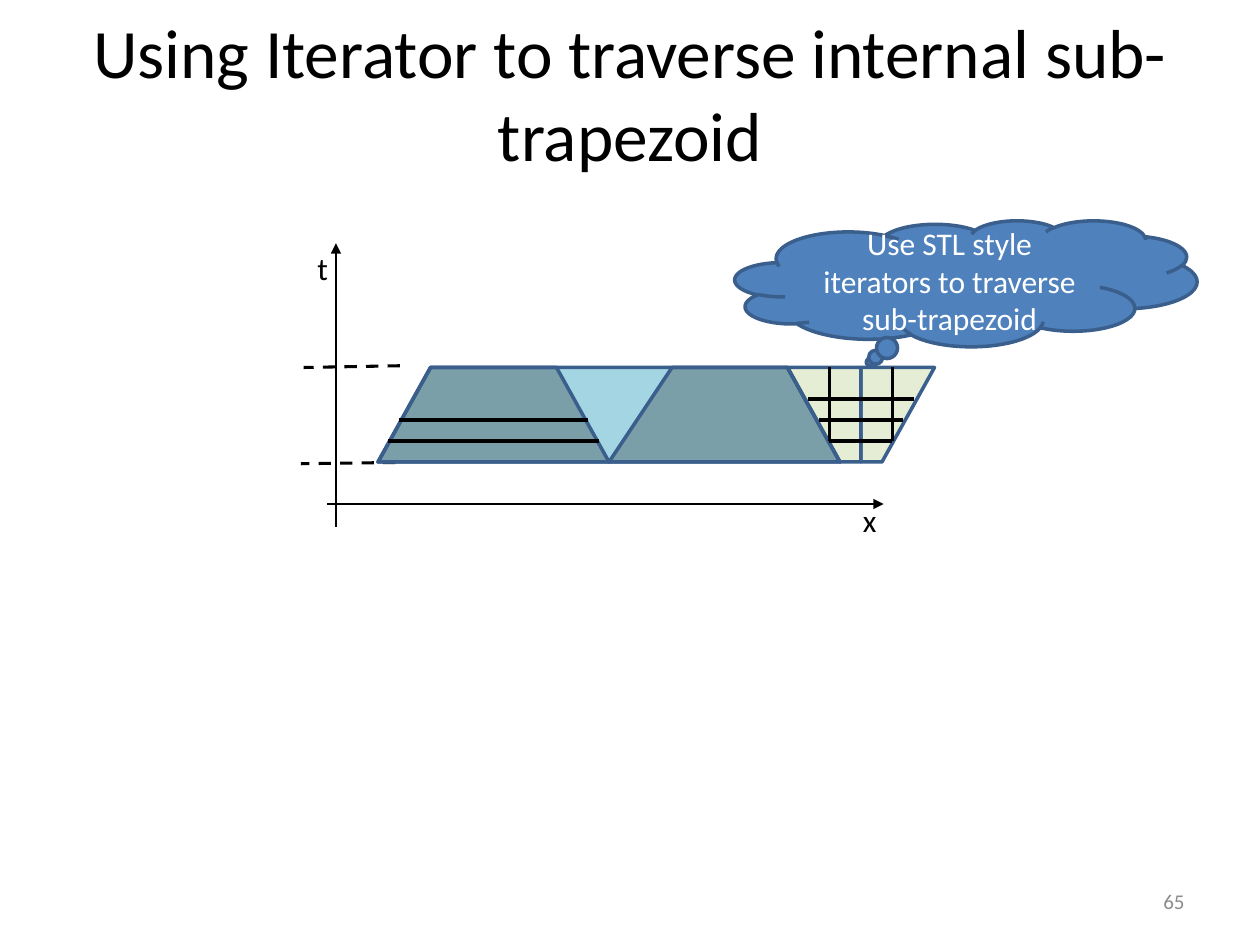
from lxml.etree import SubElement
from pptx import Presentation
from pptx.dml.color import RGBColor
from pptx.enum.dml import MSO_LINE
from pptx.enum.shapes import MSO_CONNECTOR, MSO_SHAPE
from pptx.enum.text import MSO_ANCHOR as ANCHOR, MSO_AUTO_SIZE as FIT, PP_ALIGN as ALIGN
from pptx.oxml.ns import qn
from pptx.util import Pt

BLACK = RGBColor(0x00, 0x00, 0x00)
WHITE = RGBColor(0xFF, 0xFF, 0xFF)
GRAY = RGBColor(0x8C, 0x8C, 0x8C)
BLUE = RGBColor(0x4F, 0x81, 0xBD)
EDGE = RGBColor(0x3A, 0x5F, 0x8C)
TEAL = RGBColor(0x4B, 0xAC, 0xC6)
GREEN = RGBColor(0x9B, 0xBB, 0x59)


def write(frame, text, size, color, align):
    para = frame.paragraphs[0]
    para.alignment = align
    run = para.add_run()
    run.text = text
    run.font.name = "Calibri"
    run.font.size = Pt(size)
    run.font.color.rgb = color


def draw(x1, y1, x2, y2, width):
    line = slide.shapes.add_connector(
        MSO_CONNECTOR.STRAIGHT, Pt(x1), Pt(y1), Pt(x2), Pt(y2))
    line.line.color.rgb = BLACK
    line.line.width = Pt(width)
    SubElement(line._element.spPr, qn("a:effectLst"))
    return line


prs = Presentation()
prs.slide_width, prs.slide_height = Pt(720), Pt(540)
slide = prs.slides.add_slide(prs.slide_layouts[5])

# Title
title = slide.shapes.title
title.left, title.top, title.width, title.height = Pt(36), Pt(21.6), Pt(648), Pt(62.6)
title.text_frame.auto_size = FIT.NONE
title.text_frame.vertical_anchor = ANCHOR.MIDDLE
write(title.text_frame, "Using Iterator to traverse internal sub-trapezoid",
      39.6, BLACK, ALIGN.CENTER)

# Axes with arrowheads
for ends in [(187, 288, 505, 288), (192, 301, 192, 139)]:
    axis = draw(*ends, 0.75)
    SubElement(axis.line._get_or_add_ln(), qn("a:tailEnd"), type="triangle")

# Dashed time limits
for ends in [(226, 264.3, 172, 265), (228.5, 209, 173.5, 210)]:
    draw(*ends, 1.75).line.dash_style = MSO_LINE.DASH

# Axis labels
for text, left, top, width in [("t", 174.3, 139, 21.6), ("x", 486, 283, 25.2)]:
    label = slide.shapes.add_textbox(Pt(left), Pt(top), Pt(width), Pt(29))
    label.text_frame.word_wrap = False
    write(label.text_frame, text, 18, BLACK, ALIGN.LEFT)

# Trapezoid and its parts: colour, opacity in percent, corners
TOP, BASE = 210, 264
zones = [
    (TEAL, 50, [(246, TOP), (450, TOP), (480, BASE), (216, BASE)]),
    (BLACK, 25, [(216, BASE), (246, TOP), (318, TOP), (348, BASE)]),
    (BLACK, 25, [(348, BASE), (384, TOP), (450, TOP), (480, BASE)]),
    (GREEN, 25, [(492, TOP), (534, TOP), (504, BASE), (492, BASE)]),
    (GREEN, 25, [(450, TOP), (492, TOP), (492, BASE), (480, BASE)]),
]
for color, alpha, dots in zones:
    dots = [(Pt(x), Pt(y)) for x, y in dots]
    path = slide.shapes.build_freeform(*dots[0])
    path.add_line_segments(dots[1:], close=True)
    zone = path.convert_to_shape()
    zone.shadow.inherit = False
    zone.fill.solid()
    zone.fill.fore_color.rgb = color
    tint = zone._element.spPr.find(qn("a:solidFill"))[0]
    SubElement(tint, qn("a:alpha"), val=str(alpha * 1000))
    zone.line.color.rgb = EDGE
    zone.line.width = Pt(2)

# Traversal lines: right grid, then left rows
for ends in [(474, 252, 510, 252), (468, 240, 516, 240), (462, 228, 522, 228),
             (474, TOP, 474, 252), (510, TOP, 510, 252),
             (222, 252, 342, 252), (228, 240, 336, 240)]:
    draw(*ends, 2)

# Thought cloud
cloud = slide.shapes.add_shape(
    MSO_SHAPE.CLOUD_CALLOUT, Pt(420), Pt(126), Pt(264), Pt(72))
cloud.shadow.inherit = False
cloud.fill.solid()
cloud.fill.fore_color.rgb = BLUE
cloud.line.color.rgb = EDGE
cloud.line.width = Pt(2)
cloud.text_frame.word_wrap = True
cloud.text_frame.vertical_anchor = ANCHOR.MIDDLE
write(cloud.text_frame, "Use STL style iterators to traverse sub-trapezoid",
      18, WHITE, ALIGN.CENTER)

# Page number
page = slide.shapes.add_textbox(Pt(516), Pt(500.5), Pt(168), Pt(28.75))
page.text_frame.word_wrap = True
page.text_frame.vertical_anchor = ANCHOR.MIDDLE
write(page.text_frame, "65", 12, GRAY, ALIGN.RIGHT)

prs.save("out.pptx")
